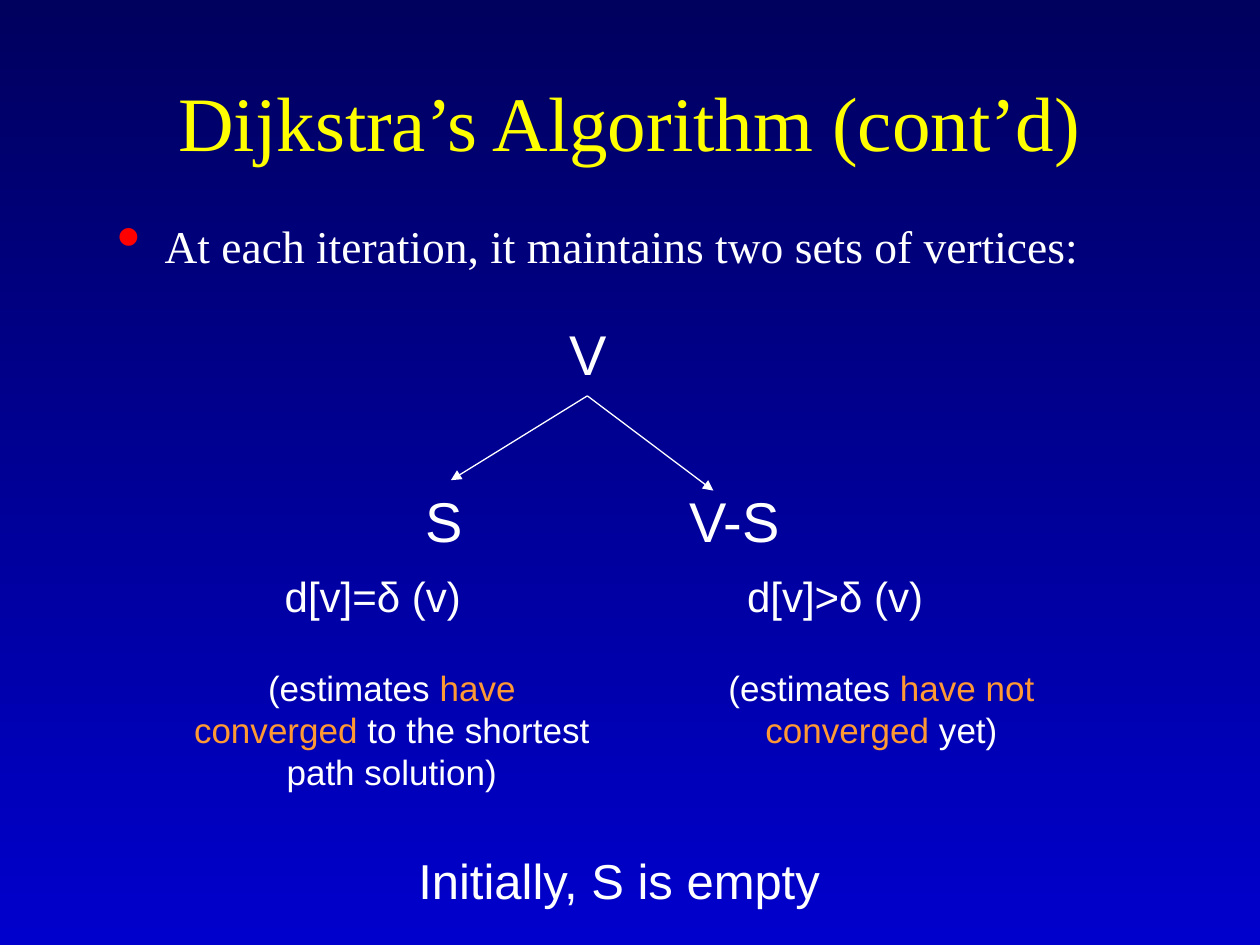
from lxml import etree
from pptx import Presentation
from pptx.dml.color import RGBColor
from pptx.enum.shapes import MSO_CONNECTOR
from pptx.enum.text import MSO_ANCHOR, MSO_AUTO_SIZE, PP_ALIGN
from pptx.oxml.ns import qn
from pptx.util import Cm, Pt

LEFT, CENTER = PP_ALIGN.LEFT, PP_ALIGN.CENTER
MIDDLE = MSO_ANCHOR.MIDDLE
FIT, FIXED = MSO_AUTO_SIZE.SHAPE_TO_FIT_TEXT, MSO_AUTO_SIZE.NONE
LINE = MSO_CONNECTOR.STRAIGHT
SERIF, SANS = "Times New Roman", "Arial"
WHITE, YELLOW, ORANGE, RED = "FFFFFF", "FFFF00", "FF9933", "FF0000"
NIGHT, BLUE = "00005E", "0000CC"


def color(code):
    return RGBColor.from_string(code)


def add_run(para, text, size, font=SANS, tint=WHITE):
    run = para.add_run()
    run.text = text
    run.font.name = font
    run.font.size = Pt(size)
    run.font.color.rgb = color(tint)


def add_text(slide, box, lines, size, align=CENTER, wrap=False):
    """Each line is a list of (text, colour) pairs."""
    frame = slide.shapes.add_textbox(*map(Cm, box)).text_frame
    frame.word_wrap = wrap
    frame.auto_size = FIT
    for i, line in enumerate(lines):
        para = frame.add_paragraph() if i else frame.paragraphs[0]
        para.alignment = align
        for text, tint in line:
            add_run(para, text, size, tint=tint)


def add_arrow(slide, start, end):
    arrow = slide.shapes.add_connector(LINE, *map(Cm, start + end))
    arrow.line.color.rgb = color(WHITE)
    arrow.line.width = Pt(0.75)
    etree.SubElement(arrow.line._get_or_add_ln(), qn("a:tailEnd"), type="triangle")
    etree.SubElement(arrow._element.spPr, qn("a:effectLst"))


def paint_back(slide):
    fill = slide.background.fill
    fill.gradient()
    fill.gradient_angle = 270
    for stop, code, place in zip(fill.gradient_stops, (NIGHT, BLUE), (0, 1)):
        stop.color.rgb = color(code)
        stop.position = place


def set_title(slide, box, text):
    title = slide.shapes.title
    title.left, title.top, title.width, title.height = map(Cm, box)
    frame = title.text_frame
    frame.vertical_anchor = MIDDLE
    frame.auto_size = FIXED
    para = frame.paragraphs[0]
    para.alignment = CENTER
    add_run(para, text, 44, SERIF, YELLOW)


def add_bullet(slide, box, text):
    frame = slide.shapes.add_textbox(*map(Cm, box)).text_frame
    frame.word_wrap = True
    frame.margin_top = Cm(0.25)
    para = frame.paragraphs[0]
    props = para._p.get_or_add_pPr()
    props.set("marL", str(Cm(0.96)))
    props.set("indent", str(Cm(-0.96)))
    tint = etree.SubElement(props, qn("a:buClr"))
    etree.SubElement(tint, qn("a:srgbClr"), val=RED)
    etree.SubElement(props, qn("a:buSzPct"), val="150000")
    etree.SubElement(props, qn("a:buChar"), char="•")
    para.line_spacing = 1.3
    add_run(para, text, 26, SERIF)


def add_tree(slide, left, top):
    """Vertex set V split into S and V-S."""
    nodes = [("V", 2.9, 0, 1.24), ("S", 0, 3.36, 1.24), ("V-S", 5.28, 3.36, 2.39)]
    for name, x, y, width in nodes:
        add_text(slide, (left + x, top + y, width, 1.63), [[(name, WHITE)]], 32)
    root = (left + 3.51, top + 1.66)
    for x, y in ((0.76, 3.36), (6.05, 3.57)):
        add_arrow(slide, root, (left + x, top + y))


def add_case(slide, left, top, rule, shift, note, width):
    """Distance rule, with its note set off by shift."""
    add_text(slide, (left, top, 5.54, 1.27), [[(rule, WHITE)]], 24, LEFT, True)
    height = 0.25 + 0.85 * len(note)
    add_text(slide, (left + shift, top + 1.93, width, height), note, 20)


def main():
    deck = Presentation()
    deck.slide_width, deck.slide_height = Cm(25.4), Cm(19.05)
    slide = deck.slides.add_slide(deck.slide_layouts[5])
    paint_back(slide)
    set_title(slide, (1.9, 0.84, 21.6, 3.18), "Dijkstra’s Algorithm (cont’d)")
    add_bullet(slide, (2.11, 3.81, 21.6, 11.43),
               "At each iteration, it maintains two sets of vertices:")
    add_tree(slide, 8.33, 6.32)
    done = [[("(estimates ", WHITE), ("have", ORANGE)],
            [("converged", ORANGE), (" to the shortest", WHITE)],
            [("path solution)", WHITE)]]
    still = [[("(estimates ", WHITE), ("have not", ORANGE)],
             [("converged ", ORANGE), ("yet)", WHITE)]]
    add_case(slide, 5.49, 11.38, "d[v]=δ (v)", -1.83, done, 8.48)
    add_case(slide, 14.81, 11.38, "d[v]>δ (v)", -0.38, still, 6.68)
    add_text(slide, (8.15, 17.02, 8.66, 1.45), [[("Initially, S is empty", WHITE)]], 28)
    deck.save("out.pptx")


if __name__ == "__main__":
    main()
